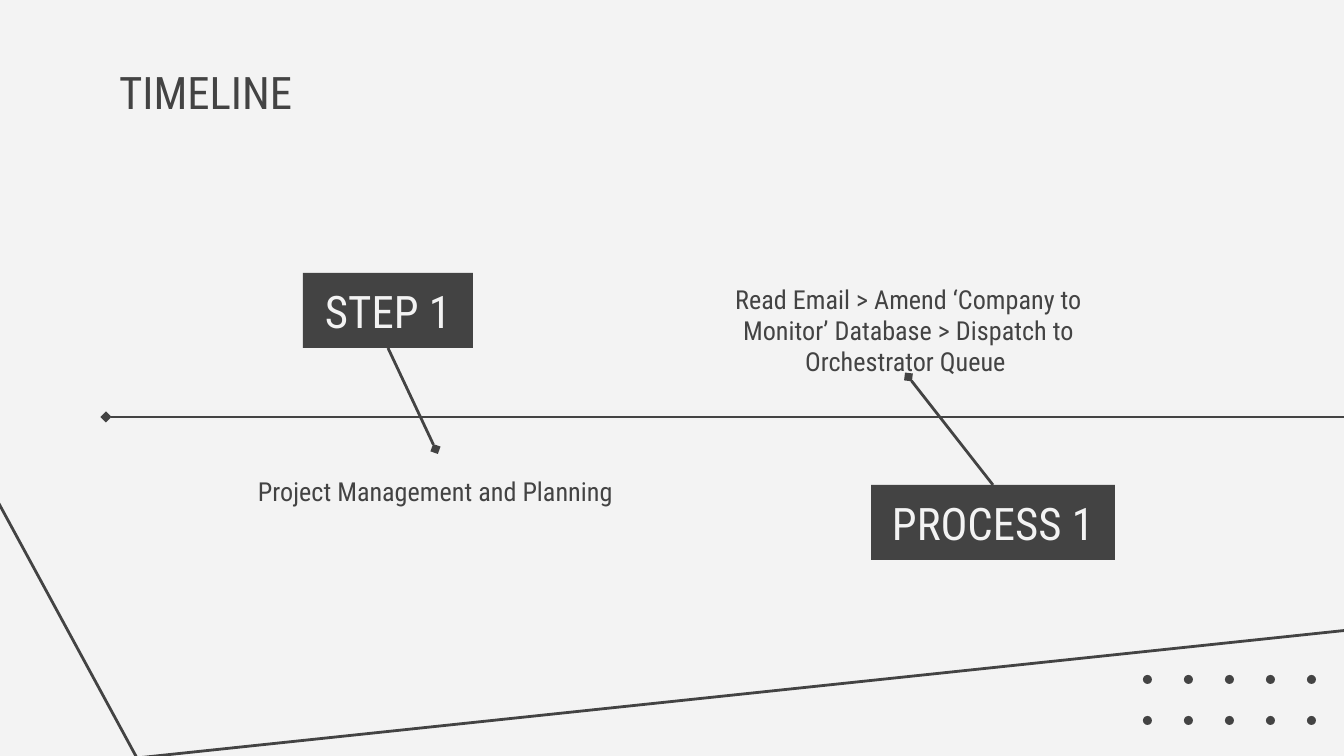
from typing import NamedTuple

from lxml.etree import SubElement
from pptx import Presentation
from pptx.dml.color import RGBColor
from pptx.enum.shapes import MSO_CONNECTOR as Connector, MSO_SHAPE as Preset
from pptx.enum.text import MSO_ANCHOR as Anchor, PP_ALIGN as Align
from pptx.oxml.ns import qn
from pptx.util import Emu, Pt

DARK = RGBColor(0x43, 0x43, 0x43)
LIGHT = RGBColor(0xF3, 0xF3, 0xF3)
FONT = "Roboto Condensed"
EMU_PER_PX = 914400 / 134.4
LINE_WIDTH = Pt(1.5)
INSET = 13
DOT_SIZE, DOT_PITCH = 9, 41
DOT_LEFT, DOT_TOP = 1143, 675
DOT_COLUMNS, DOT_ROWS = 5, 2
TOP_SIDE, BOTTOM_SIDE = 0, 2


class Box(NamedTuple):
    left: int
    top: int
    width: int
    height: int


class Caption(NamedTuple):
    wording: str
    box: Box
    size: int = 14
    align: Align = Align.CENTER
    anchor: Anchor = Anchor.TOP
    inset_top: int = INSET
    inset_bottom: int = INSET
    space_after: int = 0
    color: RGBColor = DARK


class Milestone(NamedTuple):
    label: Caption
    detail: Caption
    label_side: int
    detail_side: int


def label(wording: str, box: Box) -> Caption:
    """Describe the light wording of a dark milestone label."""
    return Caption(wording, box, size=24, anchor=Anchor.MIDDLE, color=LIGHT)


TITLE = Caption("TIMELINE", Box(106, 52, 473, 122), size=24, align=Align.LEFT)
MILESTONES = [
    Milestone(
        label("STEP 1", Box(303, 273, 170, 75)),
        Caption("Project Management and Planning", Box(238, 449, 395, 85), inset_top=34),
        BOTTOM_SIDE,
        TOP_SIDE,
    ),
    Milestone(
        label("PROCESS 1", Box(871, 485, 244, 75)),
        Caption(
            "Read Email > Amend ‘Company to Monitor’ Database > Dispatch to Orchestrator Queue ",
            Box(711, 216, 395, 161),
            anchor=Anchor.BOTTOM,
            inset_bottom=0,
            space_after=16,
        ),
        TOP_SIDE,
        BOTTOM_SIDE,
    ),
]
BORDER = [(-16, 476), (137, 758), (1359, 629)]


def px(length: int) -> Emu:
    """Turn pixels into EMU."""
    return Emu(round(length * EMU_PER_PX))


def apply(target: object, values: dict) -> None:
    """Set every named attribute on the target."""
    for name, value in values.items():
        setattr(target, name, value)


def add_filled(shapes, preset: Preset, box: Box):
    """Add a plain dark shape."""
    shape = shapes.add_shape(preset, *map(px, box))
    shape.shadow.inherit = False
    shape.fill.solid()
    shape.fill.fore_color.rgb = DARK
    shape.line.fill.background()
    return shape


def write(shape, caption: Caption) -> None:
    """Put the formatted caption into a shape."""
    frame = shape.text_frame
    apply(frame, {
        "word_wrap": True,
        "vertical_anchor": caption.anchor,
        "margin_left": px(INSET),
        "margin_right": px(INSET),
        "margin_top": px(caption.inset_top),
        "margin_bottom": px(caption.inset_bottom),
    })
    paragraph = frame.paragraphs[0]
    apply(paragraph, {"alignment": caption.align, "space_after": Pt(caption.space_after)})
    run = paragraph.add_run()
    run.text = caption.wording
    apply(run.font, {"name": FONT, "size": Pt(caption.size)})
    run.font.color.rgb = caption.color


def add_caption(shapes, caption: Caption):
    """Add a text box holding the caption."""
    textbox = shapes.add_textbox(*map(px, caption.box))
    write(textbox, caption)
    return textbox


def add_line(shapes, diamond_end: str, *ends: int):
    """Add a dark line with a diamond at its headEnd or tailEnd."""
    line = shapes.add_connector(Connector.STRAIGHT, *map(px, ends))
    line.line.color.rgb = DARK
    line.line.width = LINE_WIDTH
    properties = line.line._get_or_add_ln()
    SubElement(properties, qn(f"a:{diamond_end}"), type="diamond")
    SubElement(properties.getparent(), qn("a:effectLst"))
    return line


def add_dots(shapes) -> None:
    """Draw the grid of dots in the corner."""
    for row in range(DOT_ROWS):
        for column in range(DOT_COLUMNS):
            left, top = DOT_LEFT + column * DOT_PITCH, DOT_TOP + row * DOT_PITCH
            add_filled(shapes, Preset.OVAL, Box(left, top, DOT_SIZE, DOT_SIZE))


def add_border(shapes) -> None:
    """Draw the open angled line along the lower edge."""
    start, *rest = [(px(x), px(y)) for x, y in BORDER]
    builder = shapes.build_freeform(*start)
    builder.add_line_segments(rest, close=False)
    border = builder.convert_to_shape()
    border.shadow.inherit = False
    border.fill.background()
    border.line.color.rgb = DARK
    border.line.width = LINE_WIDTH


def add_milestone(shapes, milestone: Milestone) -> None:
    """Draw a label, its detail and the line that joins them."""
    plate = add_filled(shapes, Preset.RECTANGLE, milestone.label.box)
    write(plate, milestone.label)
    detail = add_caption(shapes, milestone.detail)
    link = add_line(shapes, "tailEnd", 0, 0, 0, 0)
    link.begin_connect(plate, milestone.label_side)
    link.end_connect(detail, milestone.detail_side)


def main() -> None:
    """Build the timeline slide and save it."""
    deck = Presentation()
    apply(deck, {"slide_width": px(1344), "slide_height": px(756)})
    slide = deck.slides.add_slide(deck.slide_layouts[6])
    slide.background.fill.solid()
    slide.background.fill.fore_color.rgb = LIGHT
    shapes = slide.shapes
    add_dots(shapes)
    add_border(shapes)
    add_caption(shapes, TITLE)
    add_line(shapes, "headEnd", 106, 417, 1348, 417)
    for milestone in MILESTONES:
        add_milestone(shapes, milestone)
    deck.save("out.pptx")


if __name__ == "__main__":
    main()
